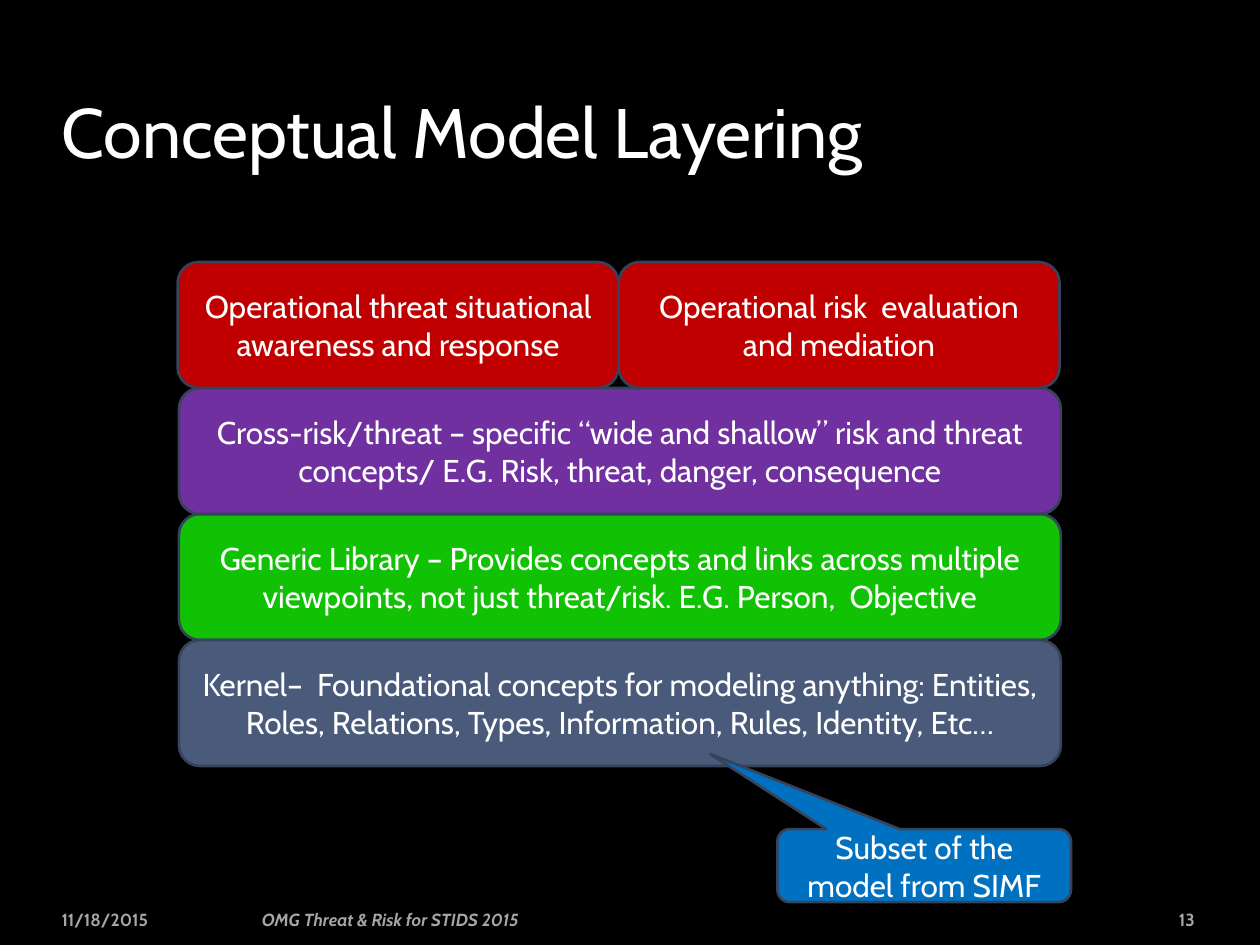
from dataclasses import dataclass

from pptx import Presentation
from pptx.dml.color import RGBColor
from pptx.enum.shapes import MSO_SHAPE
from pptx.enum.text import MSO_ANCHOR, PP_ALIGN
from pptx.util import Pt

EMU_PER_PX = 9144  # 100 px to the inch

BLACK = RGBColor(0x00, 0x00, 0x00)
WHITE = RGBColor(0xFF, 0xFF, 0xFF)
GREY = RGBColor(0xA6, 0xA6, 0xA6)
RED = RGBColor(0xC0, 0x00, 0x00)
PURPLE = RGBColor(0x70, 0x30, 0xA0)
GREEN = RGBColor(0x11, 0xC1, 0x03)
SLATE = RGBColor(0x4A, 0x5A, 0x7A)
BLUE = RGBColor(0x00, 0x70, 0xC0)
OUTLINE = RGBColor(0x37, 0x43, 0x5A)

ROUNDED = MSO_SHAPE.ROUNDED_RECTANGLE
CALLOUT = MSO_SHAPE.ROUNDED_RECTANGULAR_CALLOUT
LEFT, CENTER, RIGHT = PP_ALIGN.LEFT, PP_ALIGN.CENTER, PP_ALIGN.RIGHT
MIDDLE, BOTTOM = MSO_ANCHOR.MIDDLE, MSO_ANCHOR.BOTTOM

FONT = "Cabin"
STACK_LEFT, STACK_TOP = 142, 208
LAYER_WIDTH, LAYER_HEIGHT = 700, 100
FOOTER_TOP, FOOTER_HEIGHT = 716, 27


@dataclass(frozen=True)
class Box:
    left: int
    top: int
    width: int
    height: int

    def emu(self) -> list[int]:
        return [n * EMU_PER_PX for n in (self.left, self.top, self.width, self.height)]


@dataclass(frozen=True)
class Layer:
    row: int
    color: RGBColor
    text: str


@dataclass(frozen=True)
class FooterItem:
    left: int
    width: int
    text: str
    align: PP_ALIGN = LEFT
    italic: bool = False


LAYERS = [
    Layer(2, GREEN, "Generic Library – Provides concepts and links across multiple "
                    "viewpoints, not just threat/risk. E.G. Person,  Objective"),
    Layer(3, SLATE, "Kernel–  Foundational concepts for modeling anything: Entities, "
                    "Roles, Relations, Types, Information, Rules, Identity, Etc…"),
    Layer(1, PURPLE, "Cross-risk/threat – specific “wide and shallow” risk and threat "
                     "concepts/ E.G. Risk, threat, danger, consequence"),
]
OPERATIONS = [
    "Operational threat situational awareness and response",
    "Operational risk  evaluation and mediation",
]
FOOTER = [
    FooterItem(198, 447, "OMG Threat & Risk for STIDS 2015", italic=True),
    FooterItem(862, 96, "13", align=RIGHT),
    FooterItem(39, 160, "11/18/2015"),
]


def write_text(shape, text: str, *, size: int = 18, color: RGBColor = WHITE,
               align: PP_ALIGN = CENTER, anchor: MSO_ANCHOR = MIDDLE,
               bold: bool = False, italic: bool = False) -> None:
    frame = shape.text_frame
    frame.word_wrap = True
    frame.vertical_anchor = anchor
    paragraph = frame.paragraphs[0]
    paragraph.alignment = align
    run = paragraph.add_run()
    run.text = text
    run.font.name = FONT
    run.font.size = Pt(size)
    run.font.color.rgb = color
    run.font.bold = bold
    run.font.italic = italic


def add_block(slide, box: Box, color: RGBColor, text: str, kind: MSO_SHAPE = ROUNDED):
    shape = slide.shapes.add_shape(kind, *box.emu())
    shape.shadow.inherit = False
    shape.fill.solid()
    shape.fill.fore_color.rgb = color
    shape.line.color.rgb = OUTLINE
    shape.line.width = Pt(1.5)
    write_text(shape, text)
    return shape


def add_label(slide, box: Box, text: str, **text_format) -> None:
    write_text(slide.shapes.add_textbox(*box.emu()), text, **text_format)


def main() -> None:
    presentation = Presentation()
    presentation.slide_width = 1000 * EMU_PER_PX
    presentation.slide_height = 750 * EMU_PER_PX
    slide = presentation.slides.add_slide(presentation.slide_layouts[6])
    slide.background.fill.solid()
    slide.background.fill.fore_color.rgb = BLACK

    # Title
    add_label(slide, Box(39, 25, 840, 117), "Conceptual Model Layering",
              size=40, align=LEFT, anchor=BOTTOM)

    # Full-width layers
    for layer in LAYERS:
        top = STACK_TOP + layer.row * LAYER_HEIGHT
        add_block(slide, Box(STACK_LEFT, top, LAYER_WIDTH, LAYER_HEIGHT),
                  layer.color, layer.text)

    # Operational layer, split in two
    half = LAYER_WIDTH // 2
    for column, text in enumerate(OPERATIONS):
        left = STACK_LEFT - 1 + column * half
        add_block(slide, Box(left, STACK_TOP, half, LAYER_HEIGHT), RED, text)

    # Callout pointing at the kernel
    callout = add_block(slide, Box(617, 658, 233, 58), BLUE,
                        "Subset of the model from SIMF", CALLOUT)
    callout.adjustments[0] = -0.73
    callout.adjustments[1] = -1.53
    callout.adjustments[2] = 0.17

    # Footer
    for item in FOOTER:
        add_label(slide, Box(item.left, FOOTER_TOP, item.width, FOOTER_HEIGHT), item.text,
                  size=10, color=GREY, align=item.align, bold=True, italic=item.italic)

    presentation.save("out.pptx")


if __name__ == "__main__":
    main()
